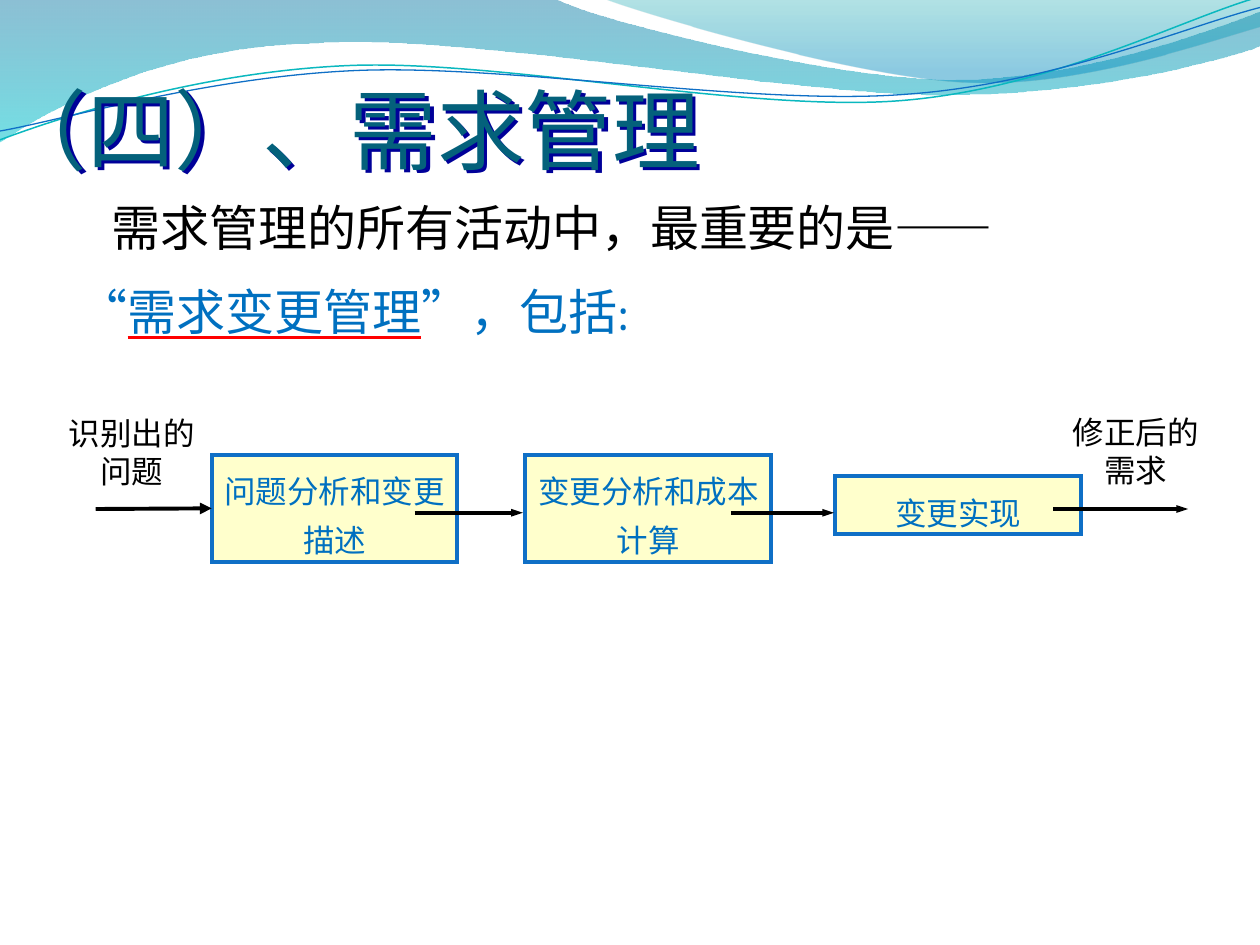
from math import cos, radians, sin

from lxml.etree import SubElement
from pptx import Presentation
from pptx.dml.color import RGBColor as Color
from pptx.enum.shapes import MSO_CONNECTOR as Connector, MSO_SHAPE as Shape
from pptx.enum.text import MSO_ANCHOR as Anchor, MSO_AUTO_SIZE as AutoSize, PP_ALIGN as Align
from pptx.oxml.ns import qn
from pptx.util import Pt

PX = 9144
THEME = {
    "title": "04617B", "title_shadow": "000099", "ink": "000000", "accent": "0070C0",
    "underline": "FF0000", "box_fill": "FFFFCC", "box_line": "0F6FC6", "teal_line": "0AB8BF",
    "wave": [(0, "0074A1", 45), (1, "00C6CF", 55)],
    "corner": [(0, "00A1A9", 30), (0.8, "008BBF", 45)],
    "heading_font": "Calibri", "body_font": "Cambria",
    "title_size": 50, "body_size": 28, "label_size": 18,
}


def write_text(paragraph, text, *, size, color, font=THEME["body_font"], underline=None,
               align=Align.LEFT, spacing=1.0):
    paragraph.alignment = align
    paragraph.line_spacing = spacing
    run = paragraph.add_run()
    run.text = text
    run.font.size = Pt(size)
    run.font.color.rgb = Color.from_string(color)
    if underline:
        run.font.underline = True
        underline_fill = SubElement(run.font._element, qn("a:uFill"))
        solid = SubElement(underline_fill, qn("a:solidFill"))
        SubElement(solid, qn("a:srgbClr"), val=underline)
    run.font.name = font


def add_curve(shapes, segments, closed, center=(0, 0), tilt=0):
    sine, cosine = sin(radians(tilt)), cos(radians(tilt))
    points = []
    for segment in segments:
        for x, y in zip(segment[::2], segment[1::2]):
            dx, dy = x - center[0], y - center[1]
            points.append(((center[0] + dx * cosine - dy * sine) * PX,
                           (center[1] + dx * sine + dy * cosine) * PX))
    builder = shapes.build_freeform(*points[0], scale=1.0)
    builder.add_line_segments(points[1:], close=closed)
    shape = builder.convert_to_shape()
    shape.shadow.inherit = False
    shape.rotation = -tilt
    lines = iter(list(shape._element.iter(qn("a:lnTo"))))
    for segment in segments[1:]:
        first = next(lines)
        if len(segment) == 6:
            first.tag = qn("a:cubicBezTo")
            for line in (next(lines), next(lines)):
                first.append(line[0])
                line.getparent().remove(line)
    return shape


presentation = Presentation()
presentation.slide_width = 1000 * PX
presentation.slide_height = 750 * PX
slide = presentation.slides.add_slide(presentation.slide_layouts[6])
shapes = slide.shapes

filled_waves = [
    ("wave", [(0, 0), (440, -1), (476, 17, 664, 63, 758, 63), (853, 63, 958, 26, 1000, 9),
              (1001, 36), (983, 44, 870, 76, 746, 75), (622, 75, 382, 28, 257, 34),
              (129, 36, 46, 83, -1, 113), (0, 0)]),
    ("corner", [(479, -1), (509, 11, 682, 62, 769, 65), (856, 69, 961, 32, 1000, 21),
                (1000, 0), (479, -1)]),
]
for gradient, segments in filled_waves:
    shape = add_curve(shapes, segments, closed=True)
    shape.line.fill.background()
    shape.fill.gradient()
    shape.fill.gradient_angle = 270
    for stop, (position, color, opacity) in zip(shape.fill.gradient_stops, THEME[gradient]):
        stop.position = position
        stop.color.rgb = Color.from_string(color)
        color_element = stop._gs.find(qn("a:srgbClr"))
        SubElement(color_element, qn("a:alpha"), val=str(opacity * 1000))

wave_lines = [
    ("teal_line", 0.85, (499, 57), [(0, 111), (48, 93, 158, 57, 277, 52),
                                    (395, 47, 593, 89, 713, 80), (833, 71, 938, 15, 998, -2)]),
    ("box_line", 0.75, (500, 59), [(0, 104), (47, 96, 164, 61, 283, 56),
                                   (403, 51, 597, 84, 717, 75), (836, 67, 941, 21, 1000, 6)]),
]
for color, width, center, segments in wave_lines:
    shape = add_curve(shapes, segments, closed=False, center=center, tilt=2.7)
    shape.fill.background()
    shape.line.color.rgb = Color.from_string(THEME[color])
    shape.line.width = Pt(width)

title = shapes.add_textbox(0, 51 * PX, 850 * PX, 93 * PX)
frame = title.text_frame
frame.word_wrap = True
frame.vertical_anchor = Anchor.BOTTOM
frame.margin_left = frame.margin_right = frame.margin_bottom = 0
write_text(frame.paragraphs[0], "（四）、需求管理", size=THEME["title_size"],
           color=THEME["title"], font=THEME["heading_font"])
effects = SubElement(title._element.spPr, qn("a:effectLst"))
shadow = SubElement(effects, qn("a:outerShdw"), dist="31750", dir="2700000")
SubElement(shadow, qn("a:srgbClr"), val=THEME["title_shadow"])

body = shapes.add_textbox(44 * PX, 138 * PX, 927 * PX, 141 * PX)
body.text_frame.word_wrap = True
paragraph = body.text_frame.paragraphs[0]
write_text(paragraph, "需求管理的所有活动中，最重要的是——", size=THEME["body_size"],
           color=THEME["ink"], spacing=1.3)
paragraph._p.get_or_add_pPr().set("marL", str(35 * PX))
paragraph = body.text_frame.add_paragraph()
paragraph.space_before = Pt(14)
for text, underline in [(" “", None), ("需求变更管理", THEME["underline"]), ("”，包括:", None)]:
    write_text(paragraph, text, size=THEME["body_size"], color=THEME["accent"], underline=underline)

boxes = []
for text, left, top, height in [("问题分析和变更描述", 168, 361, 85),
                                ("变更分析和成本计算", 417, 361, 85),
                                ("变更实现", 663, 378, 46)]:
    box = shapes.add_shape(Shape.RECTANGLE, left * PX, top * PX, 195 * PX, height * PX)
    box.shadow.inherit = False
    box.fill.solid()
    box.fill.fore_color.rgb = Color.from_string(THEME["box_fill"])
    box.line.color.rgb = Color.from_string(THEME["box_line"])
    box.line.width = Pt(2.25)
    SubElement(box.line._get_or_add_ln(), qn("a:miter"), lim="800000")
    box.text_frame.word_wrap = True
    box.text_frame.auto_size = AutoSize.SHAPE_TO_FIT_TEXT
    box.text_frame.vertical_anchor = Anchor.TOP
    write_text(box.text_frame.paragraphs[0], text, size=THEME["label_size"],
               color=THEME["accent"], align=Align.CENTER, spacing=1.3)
    boxes.append(box)

for start, end, y, head_width, target in [(76, 166, 404, "med", boxes[0]),
                                          (329, 415, 407, "sm", None),
                                          (580, 662, 407, "sm", None),
                                          (836, 943, 404, "sm", None)]:
    arrow = shapes.add_connector(Connector.STRAIGHT, start * PX, y * PX, end * PX, y * PX)
    if target:
        arrow.end_connect(target, 1)
    arrow.line.color.rgb = Color.from_string(THEME["ink"])
    arrow.line.width = Pt(2.25)
    SubElement(arrow.line._get_or_add_ln(), qn("a:tailEnd"), type="triangle", w=head_width)
    SubElement(arrow._element.spPr, qn("a:effectLst"))

for text, left, top in [("修正后的需求", 840, 323), ("识别出的问题", 43, 324)]:
    label = shapes.add_textbox(left * PX, top * PX, 123 * PX, 70 * PX)
    label.text_frame.word_wrap = True
    write_text(label.text_frame.paragraphs[0], text, size=THEME["label_size"],
               color=THEME["ink"], align=Align.CENTER)

presentation.save("out.pptx")
